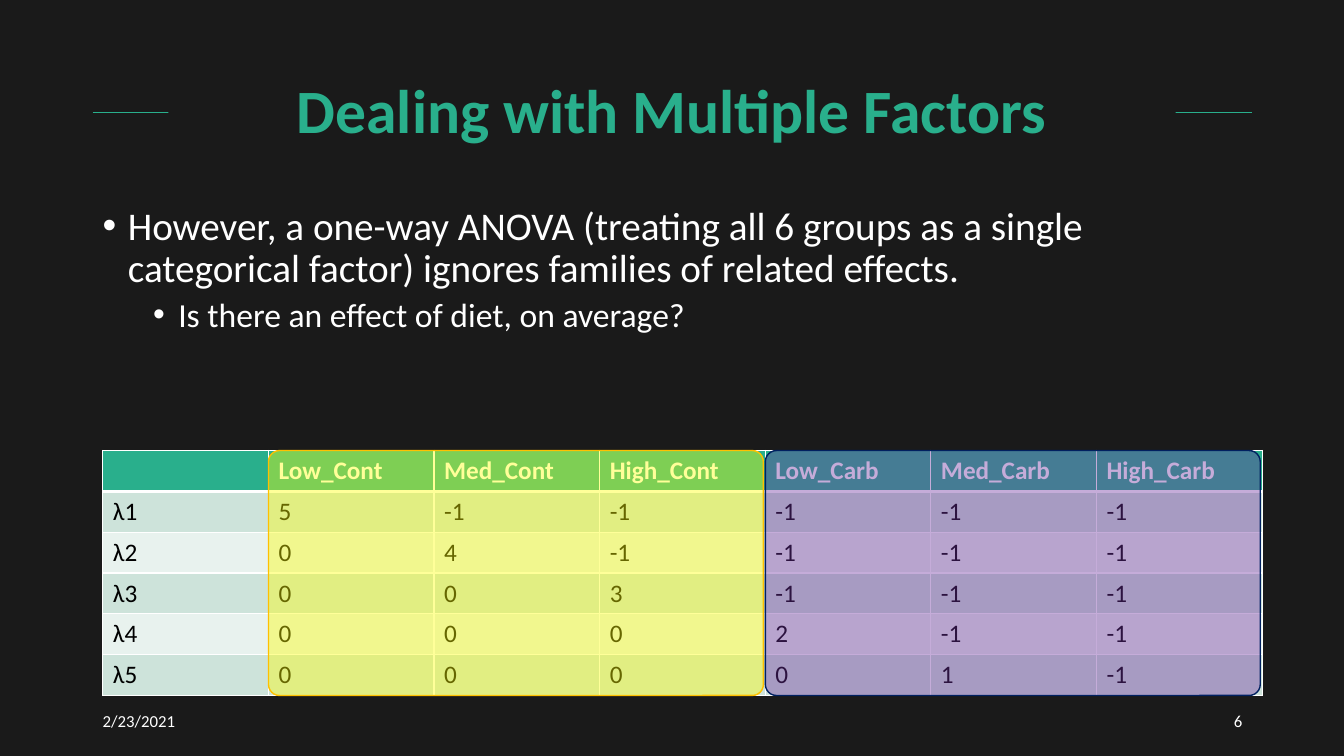
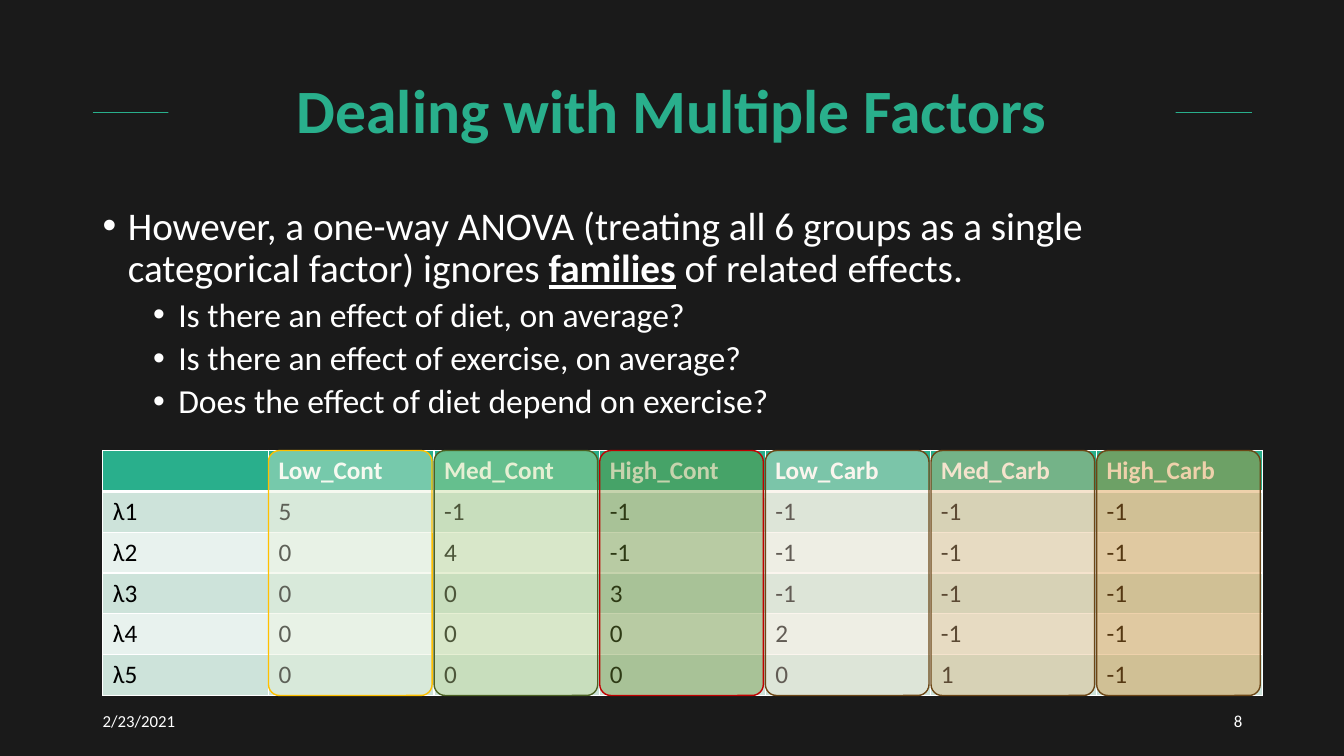
from lxml import etree
from pptx import Presentation
from pptx.dml.color import RGBColor
from pptx.enum.shapes import MSO_CONNECTOR, MSO_SHAPE
from pptx.enum.text import MSO_ANCHOR, PP_ALIGN
from pptx.oxml.ns import qn
from pptx.util import Inches, Pt

LEFT, CENTER, RIGHT = PP_ALIGN.LEFT, PP_ALIGN.CENTER, PP_ALIGN.RIGHT
TOP, MIDDLE = MSO_ANCHOR.TOP, MSO_ANCHOR.MIDDLE
ROUNDED = MSO_SHAPE.ROUNDED_RECTANGLE
STRAIGHT = MSO_CONNECTOR.STRAIGHT

FONT = "Calibri"
DARK, GREEN, WHITE, BLACK = "1A1A1A", "29AF8C", "FFFFFF", "000000"
ROW_FILLS = ("CDE3DA", "E8F2EE")

MARGIN, CONTENT_WIDTH = 0.92, 11.5
TABLE_LEFT, TABLE_TOP, TABLE_HEIGHT = 1.02, 4.47, 2.43
BAND_GAP, BAND_RADIUS, BAND_OPACITY = 0.02, 0.11, 40

TITLE = "Dealing with Multiple Factors"
DATE = "2/23/2021"
CLAIM = ("However, a one-way ANOVA (treating all 6 groups as a single "
         "categorical factor) ignores ")
DIET = "Is there an effect of diet, on average?"
EXERCISE = "Is there an effect of exercise, on average?"
INTERACTION = "Does the effect of diet depend on exercise?"

CONTRASTS = [
    ["", "Low_Cont", "Med_Cont", "High_Cont", "Low_Carb", "Med_Carb", "High_Carb"],
    ["λ1", "5", "-1", "-1", "-1", "-1", "-1"],
    ["λ2", "0", "4", "-1", "-1", "-1", "-1"],
    ["λ3", "0", "0", "3", "-1", "-1", "-1"],
    ["λ4", "0", "0", "0", "2", "-1", "-1"],
    ["λ5", "0", "0", "0", "0", "1", "-1"],
]
COLUMN_WIDTH = CONTENT_WIDTH / len(CONTRASTS[0])

DIET_BANDS = [("FFFF00", "FFC000"), ("7030A0", "002060")]
GROUP_BANDS = [
    ("EAF2DB", "FFC000"), ("C1D892", "4C6123"), ("729134", "C00000"),
    ("F7E8D5", "6C4616"), ("E6BA82", "6C4616"), ("D58C2E", "6C4616"),
]


def color(value):
    return RGBColor.from_string(value)


def add_run(paragraph, text, size, text_color, bold=False, underline=False):
    run = paragraph.add_run()
    run.text = text
    run.font.name = FONT
    run.font.size = Pt(size)
    run.font.color.rgb = color(text_color)
    run.font.bold = bold
    run.font.underline = underline


def add_text_box(slide, left, top, width, height, anchor):
    shape = slide.shapes.add_textbox(
        Inches(left), Inches(top), Inches(width), Inches(height))
    shape.text_frame.word_wrap = True
    shape.text_frame.vertical_anchor = anchor
    return shape


def add_title(slide):
    line = slide.shapes.add_connector(
        STRAIGHT, Inches(MARGIN), Inches(1.11),
        Inches(MARGIN + CONTENT_WIDTH), Inches(1.11))
    line.line.color.rgb = color(GREEN)
    line.line.width = Pt(0.5)
    etree.SubElement(line._element.spPr, qn("a:effectLst"))

    shape = add_text_box(slide, 1.67, 0.4, 9.99, 1.45, MIDDLE)
    shape.fill.solid()
    shape.fill.fore_color.rgb = color(DARK)
    paragraph = shape.text_frame.paragraphs[0]
    paragraph.alignment = CENTER
    paragraph.line_spacing = 0.9
    add_run(paragraph, TITLE, 44, GREEN, bold=True)


def set_bullet(paragraph, indent):
    properties = paragraph._p.get_or_add_pPr()
    properties.set("marL", str(Inches(indent)))
    properties.set("indent", str(Inches(-0.25)))
    font = etree.SubElement(properties, qn("a:buFont"))
    font.set("typeface", "Arial")
    etree.SubElement(properties, qn("a:buChar")).set("char", "•")
    paragraph.line_spacing = 0.9


def add_body(slide, claim_runs, questions):
    frame = add_text_box(slide, MARGIN, 2, CONTENT_WIDTH, 4.76, TOP).text_frame
    paragraph = frame.paragraphs[0]
    set_bullet(paragraph, 0.25)
    for text, emphasis in claim_runs:
        add_run(paragraph, text, 28, WHITE, bold=emphasis, underline=emphasis)
    for question in questions:
        paragraph = frame.add_paragraph()
        set_bullet(paragraph, 0.75)
        paragraph.space_before = Pt(5)
        add_run(paragraph, question, 24, WHITE)


def add_footer(slide, number):
    for text, left, alignment in (
            (DATE, MARGIN, LEFT),
            (number, MARGIN + CONTENT_WIDTH - 3, RIGHT)):
        shape = add_text_box(slide, left, 6.95, 3, 0.4, MIDDLE)
        paragraph = shape.text_frame.paragraphs[0]
        paragraph.alignment = alignment
        add_run(paragraph, text, 12, WHITE)


def set_borders(cell, top_width, bottom_width):
    properties = cell._tc.get_or_add_tcPr()
    sides = (("L", 1), ("R", 1), ("T", top_width), ("B", bottom_width))
    for position, (side, width) in enumerate(sides):
        border = etree.Element(qn(f"a:ln{side}"), w=str(Pt(width)))
        fill = etree.SubElement(border, qn("a:solidFill"))
        etree.SubElement(fill, qn("a:srgbClr")).set("val", WHITE)
        properties.insert(position, border)


def add_contrast_table(slide):
    table = slide.shapes.add_table(
        len(CONTRASTS), len(CONTRASTS[0]), Inches(TABLE_LEFT), Inches(TABLE_TOP),
        Inches(CONTENT_WIDTH), Inches(TABLE_HEIGHT)).table
    for row_index, values in enumerate(CONTRASTS):
        header = row_index == 0
        fill = GREEN if header else ROW_FILLS[(row_index - 1) % 2]
        for column_index, value in enumerate(values):
            cell = table.cell(row_index, column_index)
            cell.fill.solid()
            cell.fill.fore_color.rgb = color(fill)
            set_borders(cell, 3 if row_index == 1 else 1, 3 if header else 1)
            if value:
                add_run(cell.text_frame.paragraphs[0], value, 18,
                        WHITE if header else BLACK, bold=header)


def add_bands(slide, bands):
    span = (len(CONTRASTS[0]) - 1) // len(bands) * COLUMN_WIDTH
    width = span - BAND_GAP
    for index, (fill, outline) in enumerate(bands):
        left = TABLE_LEFT + COLUMN_WIDTH + index * span
        shape = slide.shapes.add_shape(
            ROUNDED, Inches(left), Inches(TABLE_TOP),
            Inches(width), Inches(TABLE_HEIGHT))
        shape.adjustments[0] = BAND_RADIUS / min(width, TABLE_HEIGHT)
        shape.shadow.inherit = False
        shape.fill.solid()
        shape.fill.fore_color.rgb = color(fill)
        fill_color = shape._element.spPr.find(qn("a:solidFill"))[0]
        alpha = etree.SubElement(fill_color, qn("a:alpha"))
        alpha.set("val", str(BAND_OPACITY * 1000))
        shape.line.color.rgb = color(outline)
        shape.line.width = Pt(1)


def add_factor_slide(presentation, number, claim_runs, questions, bands):
    slide = presentation.slides.add_slide(presentation.slide_layouts[6])
    slide.background.fill.solid()
    slide.background.fill.fore_color.rgb = color(DARK)
    add_title(slide)
    add_body(slide, claim_runs, questions)
    add_footer(slide, number)
    add_contrast_table(slide)
    add_bands(slide, bands)


def main():
    presentation = Presentation()
    presentation.slide_width = Inches(13.33)
    presentation.slide_height = Inches(7.5)
    add_factor_slide(
        presentation, "6",
        [(CLAIM + "families of related effects.", False)],
        [DIET], DIET_BANDS)
    add_factor_slide(
        presentation, "8",
        [(CLAIM, False), ("families", True), (" of related effects.", False)],
        [DIET, EXERCISE, INTERACTION], GROUP_BANDS)
    presentation.save("out.pptx")


if __name__ == "__main__":
    main()
